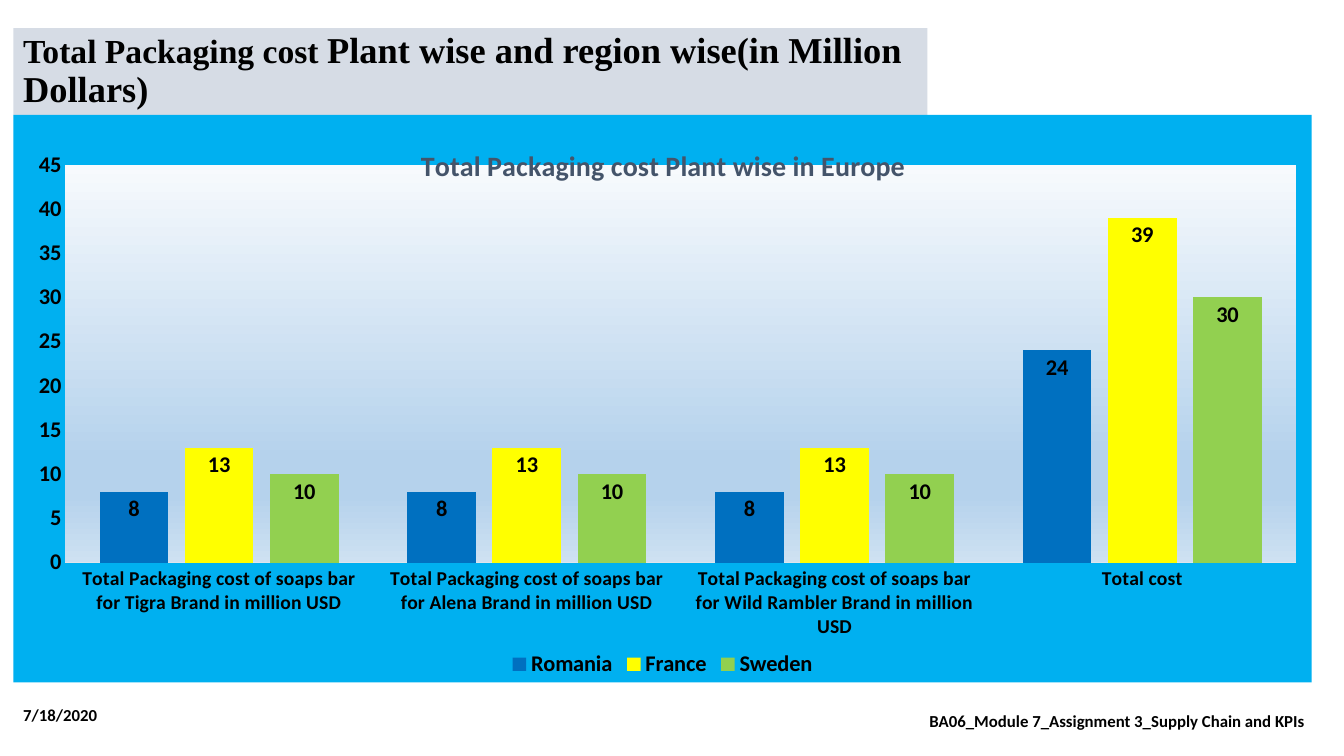
import pptx
import pptx.chart.data
import pptx.dml.color
import pptx.enum.chart
import pptx.enum.shapes
import pptx.enum.text
import pptx.oxml
import pptx.oxml.ns
import pptx.util
from dataclasses import dataclass

Pt = pptx.util.Pt
RGB = pptx.dml.color.RGBColor.from_string
qn = pptx.oxml.ns.qn
CHART_NS = pptx.oxml.ns.nsdecls("c", "a")


@dataclass(frozen=True)
class Theme:
    body: str = "Calibri"
    heading: str = "Times New Roman"
    ink: str = "000000"
    banner: str = "D6DCE5"
    panel: str = "00B0F0"
    chart_title: str = "44546A"
    axis_line: str = "E0E5EB"
    plot_stops: tuple = ((0, "F7FAFD"), (74, "B5D2EC"), (83, "B5D2EC"), (100, "CEE1F2"))
    countries: tuple = ("0070C0", "FFFF00", "92D050")
    heading_small: int = 24
    heading_large: int = 26
    chart_heading: int = 20
    label: int = 16
    category: int = 14
    footer: int = 12


def apply(target, values):
    for attribute, value in values.items():
        setattr(target, attribute, value)


def solid(color):
    return f'<a:solidFill><a:srgbClr val="{color}"/></a:solidFill>'


def gradient(stops):
    marks = "".join(
        f'<a:gs pos="{place * 1000}"><a:srgbClr val="{color}"/></a:gs>' for place, color in stops
    )
    return f'<a:gradFill><a:gsLst>{marks}</a:gsLst><a:lin ang="5400000" scaled="0"/></a:gradFill>'


def area_format(fill):
    return pptx.oxml.parse_xml(f"<c:spPr {CHART_NS}>{fill}<a:ln><a:noFill/></a:ln></c:spPr>")


def manual_layout(parent, target="", **places):
    for old in parent.findall(qn("c:layout")):
        parent.remove(old)
    inner = f'<c:layoutTarget val="{target}"/>' if target else ""
    inner += '<c:xMode val="edge"/><c:yMode val="edge"/>'
    inner += "".join(f'<c:{key} val="{value}"/>' for key, value in places.items())
    return pptx.oxml.parse_xml(
        f"<c:layout {CHART_NS}><c:manualLayout>{inner}</c:manualLayout></c:layout>"
    )


class Deck:
    def __init__(self, theme):
        self.theme = theme
        self.show = pptx.Presentation()
        apply(self.show, {"slide_width": Pt(960), "slide_height": Pt(540)})
        self.slide = self.show.slides.add_slide(self.show.slide_layouts[6])

    def style(self, font, size, face=None, color=None):
        apply(font, {"size": Pt(size), "name": face or self.theme.body, "bold": True})
        font.color.rgb = RGB(color or self.theme.ink)

    def set_words(self, frame, runs, face, align, spacing):
        apply(frame, {"word_wrap": True, "vertical_anchor": pptx.enum.text.MSO_ANCHOR.MIDDLE})
        paragraph = frame.paragraphs[0]
        apply(paragraph, {"alignment": align, "line_spacing": spacing})
        for words, size in runs:
            run = paragraph.add_run()
            run.text = words
            self.style(run.font, size, face)

    def banner(self, box, runs):
        heading = self.slide.shapes.add_shape(
            pptx.enum.shapes.MSO_SHAPE.RECTANGLE, *map(Pt, box)
        )
        heading.shadow.inherit = False
        heading.fill.solid()
        heading.fill.fore_color.rgb = RGB(self.theme.banner)
        heading.line.fill.background()
        left = pptx.enum.text.PP_ALIGN.LEFT
        self.set_words(heading.text_frame, runs, self.theme.heading, left, 0.9)

    def footer(self, box, words, align):
        note = self.slide.shapes.add_textbox(*map(Pt, box))
        self.set_words(note.text_frame, [(words, self.theme.footer)], self.theme.body, align, 1.0)

    def column_chart(self, box, heading, categories, countries):
        data = pptx.chart.data.CategoryChartData()
        data.categories = categories
        for country, costs in countries.items():
            data.add_series(country, costs)
        kind = pptx.enum.chart.XL_CHART_TYPE.COLUMN_CLUSTERED
        chart = self.slide.shapes.add_chart(kind, *map(Pt, box), data).chart
        self.style(chart.font, self.theme.category)
        self.chart_heading(chart, heading)
        self.chart_axes(chart)
        self.chart_columns(chart.plots[0])
        self.chart_areas(chart)
        chart.has_legend = True
        position = pptx.enum.chart.XL_LEGEND_POSITION.BOTTOM
        apply(chart.legend, {"position": position, "include_in_layout": False})
        self.style(chart.legend.font, self.theme.label)

    def chart_heading(self, chart, words):
        chart.has_title = True
        run = chart.chart_title.text_frame.paragraphs[0].add_run()
        run.text = words
        self.style(run.font, self.theme.chart_heading, color=self.theme.chart_title)
        title = chart._chartSpace.chart.find(qn("c:title"))
        layout = manual_layout(title, x=0.31, y=0.045)
        title.find(qn("c:tx")).addnext(layout)

    def chart_axes(self, chart):
        no_tick = pptx.enum.chart.XL_TICK_MARK.NONE
        plain = {
            "has_major_gridlines": False,
            "major_tick_mark": no_tick,
            "minor_tick_mark": no_tick,
        }
        sizes = (
            (chart.category_axis, self.theme.category),
            (chart.value_axis, self.theme.label),
        )
        for axis, size in sizes:
            apply(axis, plain)
            self.style(axis.tick_labels.font, size)
        apply(chart.value_axis, {"minimum_scale": 0, "maximum_scale": 45, "major_unit": 5})
        chart.value_axis.format.line.fill.background()
        baseline = chart.category_axis.format.line
        baseline.width = Pt(0.75)
        baseline.color.rgb = RGB(self.theme.axis_line)

    def chart_columns(self, plot):
        apply(plot, {"gap_width": 100, "overlap": -24, "vary_by_categories": False})
        inside = pptx.enum.chart.XL_LABEL_POSITION.INSIDE_END
        for country, color in zip(plot.series, self.theme.countries):
            country.format.fill.solid()
            country.format.fill.fore_color.rgb = RGB(color)
            apply(country.data_labels, {"show_value": True, "position": inside})
            self.style(country.data_labels.font, self.theme.label)

    def chart_areas(self, chart):
        root = chart._chartSpace
        root.chart.addnext(area_format(solid(self.theme.panel)))
        plot_area = root.chart.plotArea
        layout = manual_layout(plot_area, "inner", x=0.04, y=0.088, w=0.948, h=0.701)
        plot_area.insert(0, layout)
        plot_area.append(area_format(gradient(self.theme.plot_stops)))


def main():
    theme = Theme()
    deck = Deck(theme)
    deck.banner(
        (9.5, 20, 653, 62),
        [
            ("Total Packaging cost ", theme.heading_small),
            ("Plant wise and region wise(in Million Dollars)", theme.heading_large),
        ],
    )
    align = pptx.enum.text.PP_ALIGN
    deck.footer((9.5, 496, 216, 29), "7/18/2020", align.LEFT)
    deck.footer(
        (636, 500.5, 324, 29), "BA06_Module 7_Assignment 3_Supply Chain and KPIs", align.CENTER
    )
    brands = ("Tigra", "Alena", "Wild Rambler")
    categories = [
        f"Total Packaging cost of soaps bar for {brand} Brand in million USD" for brand in brands
    ]
    brand_costs = {"Romania": 8, "France": 13, "Sweden": 10}
    deck.column_chart(
        (9.5, 82, 927.5, 405.5),
        "Total Packaging cost Plant wise in Europe",
        categories + ["Total cost"],
        {
            country: [cost] * len(brands) + [cost * len(brands)]
            for country, cost in brand_costs.items()
        },
    )
    deck.show.save("out.pptx")


if __name__ == "__main__":
    main()
